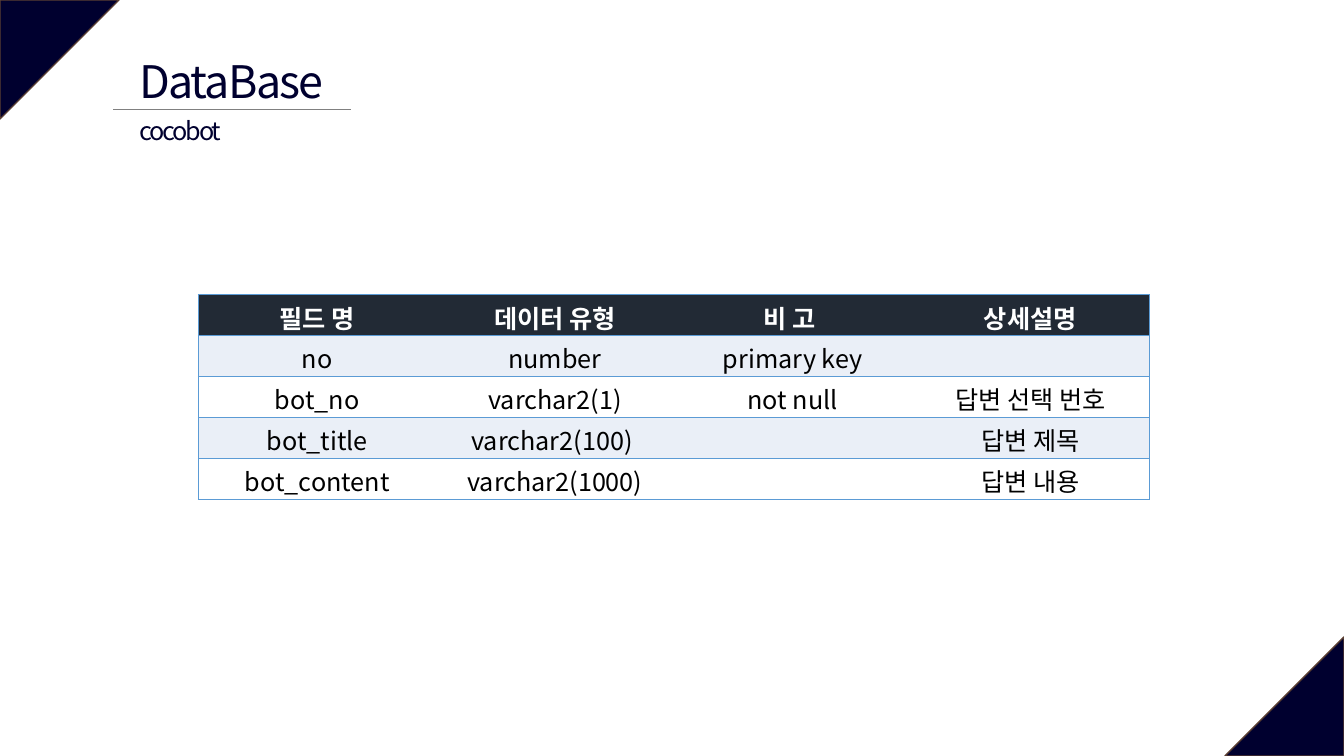
from dataclasses import dataclass

from lxml.etree import SubElement
from pptx import Presentation
from pptx.dml.color import RGBColor
from pptx.enum.shapes import MSO_CONNECTOR, MSO_SHAPE
from pptx.enum.text import MSO_ANCHOR, MSO_AUTO_SIZE, PP_ALIGN
from pptx.oxml.ns import qn
from pptx.slide import Slide
from pptx.table import _Cell
from pptx.text.text import TextFrame
from pptx.util import Cm, Pt

FONT = "Noto Sans CJK KR"
NAVY = "00002F"
BORDER = "5B9BD5"
HEADER_FILL = "222A35"
ROW_FILLS = ("FFFFFF", "EAEFF7")
COLUMN_WIDTH, ROW_HEIGHT = 5.99, 1.03
FIELDS = (
    ("필드 명", "데이터 유형", "비 고 ", "상세설명"),
    ("no", "number", "primary key", ""),
    ("bot_no", "varchar2(1)", "not null", "답변 선택 번호"),
    ("bot_title", "varchar2(100) ", "", "답변 제목"),
    ("bot_content", "varchar2(1000)", "", "답변 내용"),
)


@dataclass
class Corner:
    """A right-angled triangle filling one corner of the slide."""
    left: float
    top: float
    rotation: int


@dataclass
class TextStyle:
    """The look of a run of text."""
    size: int
    color: str
    bold: bool = False
    spacing: int = 0


CORNERS = (Corner(0, 0, 90), Corner(30.87, 16.05, 270))


def color(value: str) -> RGBColor:
    """Turn a hex string into a colour."""
    return RGBColor.from_string(value)


def write(frame: TextFrame, words: str, style: TextStyle) -> None:
    """Write one centred run in the first paragraph of a frame."""
    paragraph = frame.paragraphs[0]
    paragraph.alignment = PP_ALIGN.CENTER
    run = paragraph.add_run()
    run.text = words
    run.font.size = Pt(style.size)
    run.font.bold = style.bold
    run.font.color.rgb = color(style.color)
    run.font.name = FONT
    properties = run.font._element
    SubElement(properties, qn("a:ea"), typeface=FONT)
    if style.spacing:
        properties.set("spc", str(style.spacing))


def draw_corner(slide: Slide, corner: Corner) -> None:
    """Draw one corner triangle."""
    triangle = slide.shapes.add_shape(
        MSO_SHAPE.ISOSCELES_TRIANGLE, Cm(corner.left), Cm(corner.top), Cm(3), Cm(3))
    triangle.adjustments[0] = 0
    triangle.rotation = corner.rotation
    triangle.shadow.inherit = False
    triangle.fill.solid()
    triangle.fill.fore_color.rgb = color(NAVY)
    triangle.line.color.rgb = color("5B3F33")
    triangle.line.width = Pt(1)


def draw_heading(slide: Slide) -> None:
    """Draw the title, its underline and the table name."""
    underline = slide.shapes.add_connector(
        MSO_CONNECTOR.STRAIGHT, Cm(2.85), Cm(2.75), Cm(8.84), Cm(2.75))
    underline.line.color.rgb = color("808080")
    underline.line.width = Pt(0.5)
    SubElement(underline._element.spPr, qn("a:effectLst"))

    title = slide.shapes.title
    title.left, title.top, title.width, title.height = Cm(2.92), Cm(1.22), Cm(5.82), Cm(1.58)
    title.text_frame.word_wrap = False
    title.text_frame.auto_size = MSO_AUTO_SIZE.NONE
    title.text_frame.vertical_anchor = MSO_ANCHOR.TOP
    write(title.text_frame, "DataBase", TextStyle(32, NAVY, spacing=-130))

    table_name = slide.shapes.add_textbox(Cm(3.07), Cm(2.79), Cm(2.95), Cm(1.02))
    table_name.text_frame.word_wrap = True
    write(table_name.text_frame, "cocobot", TextStyle(18, NAVY, spacing=-150))


def set_borders(cell: _Cell, first: bool, last: bool) -> None:
    """Rule a cell above and below, and at the outer sides of the table."""
    properties = cell._tc.get_or_add_tcPr()
    for side, visible in (("L", first), ("R", last), ("T", True), ("B", True)):
        edge = SubElement(properties, qn(f"a:ln{side}"), w=str(Pt(1)))
        if visible:
            fill = SubElement(edge, qn("a:solidFill"))
            SubElement(fill, qn("a:srgbClr"), val=BORDER)
        else:
            SubElement(edge, qn("a:noFill"))


def draw_fields(slide: Slide) -> None:
    """Draw the table of database fields."""
    rows, columns = len(FIELDS), len(FIELDS[0])
    fields = slide.shapes.add_table(
        rows, columns, Cm(5), Cm(7.43),
        Cm(COLUMN_WIDTH * columns), Cm(ROW_HEIGHT * rows)).table
    for column in fields.columns:
        column.width = Cm(COLUMN_WIDTH)
    for row_index, entries in enumerate(FIELDS):
        fields.rows[row_index].height = Cm(ROW_HEIGHT)
        header = row_index == 0
        style = TextStyle(18, "FFFFFF" if header else "000000", bold=header)
        for column_index, entry in enumerate(entries):
            cell = fields.cell(row_index, column_index)
            set_borders(cell, column_index == 0, column_index == columns - 1)
            cell.margin_top, cell.margin_bottom = Cm(0.1), Cm(0)
            cell.fill.solid()
            cell.fill.fore_color.rgb = color(HEADER_FILL if header else ROW_FILLS[row_index % 2])
            if entry:
                write(cell.text_frame, entry, style)


def main() -> None:
    """Build and save the slide."""
    presentation = Presentation()
    presentation.slide_width, presentation.slide_height = Cm(33.87), Cm(19.05)
    slide = presentation.slides.add_slide(presentation.slide_layouts[5])
    for corner in CORNERS:
        draw_corner(slide, corner)
    draw_heading(slide)
    draw_fields(slide)
    presentation.save("out.pptx")


if __name__ == "__main__":
    main()
